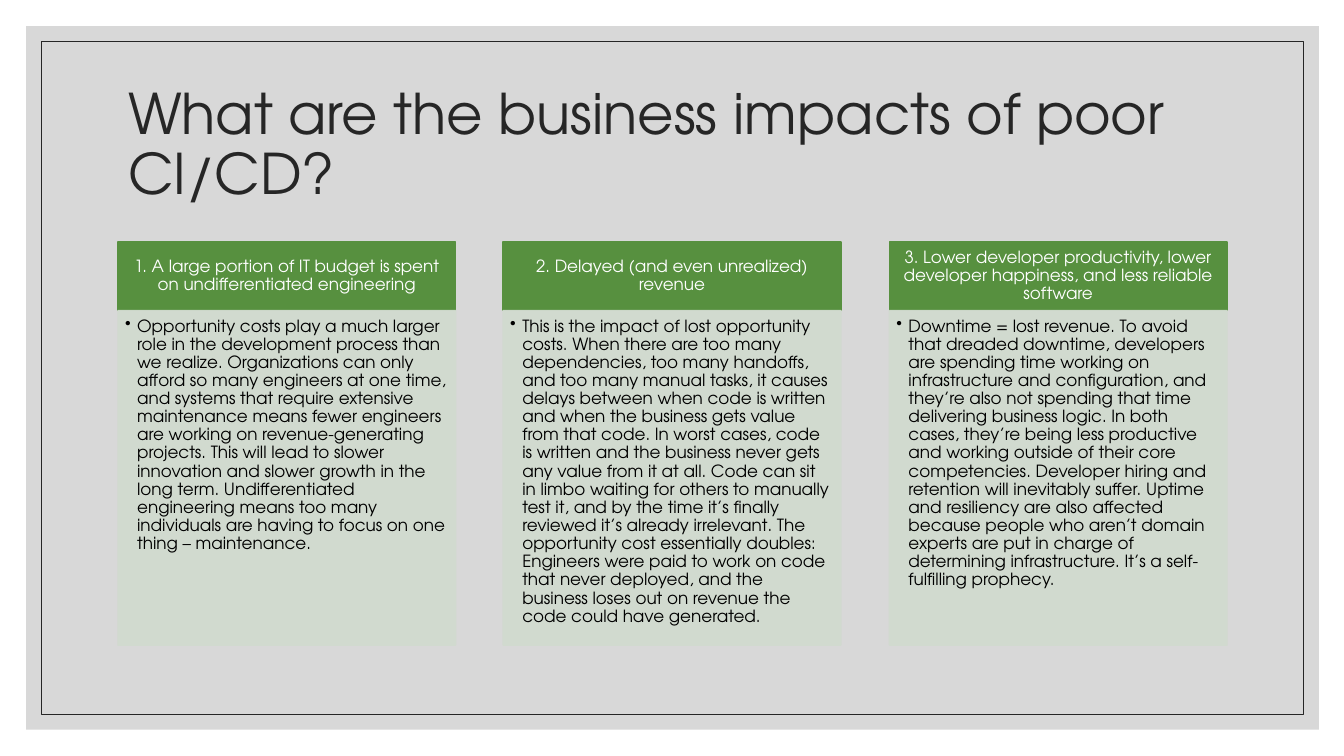
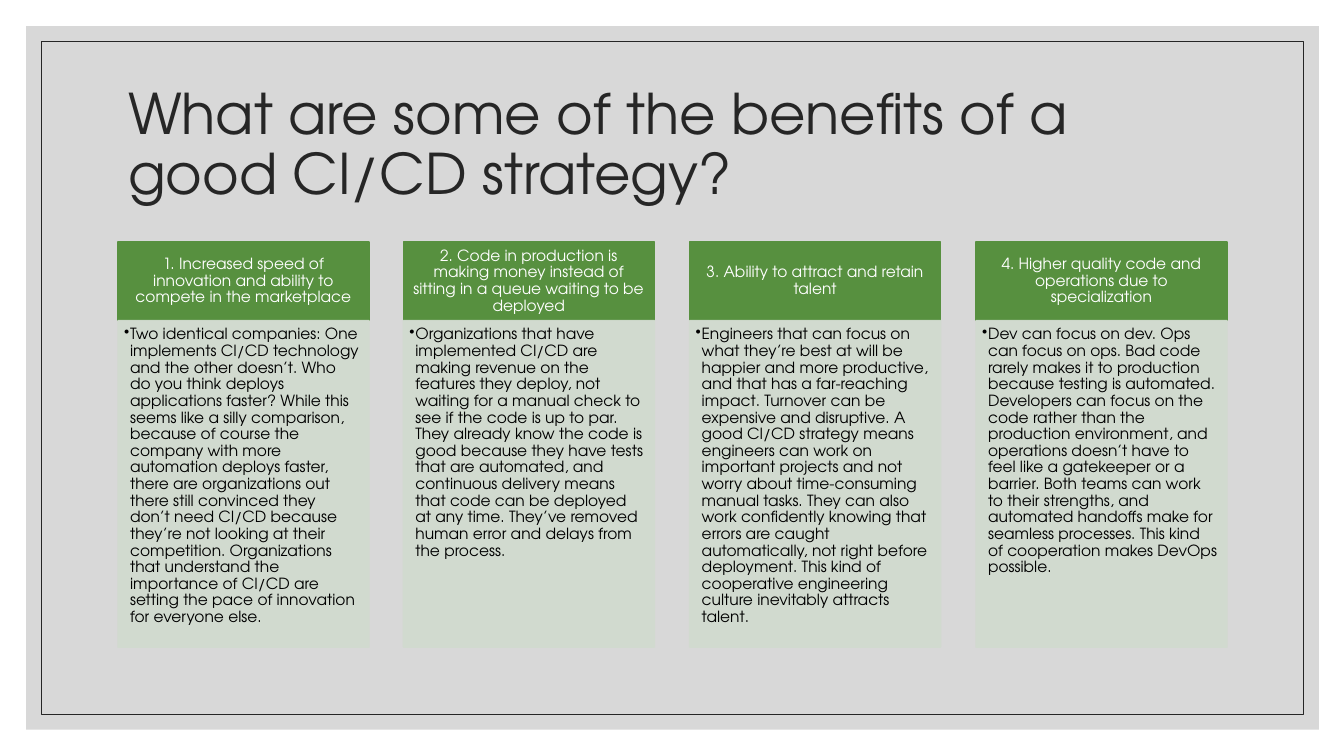
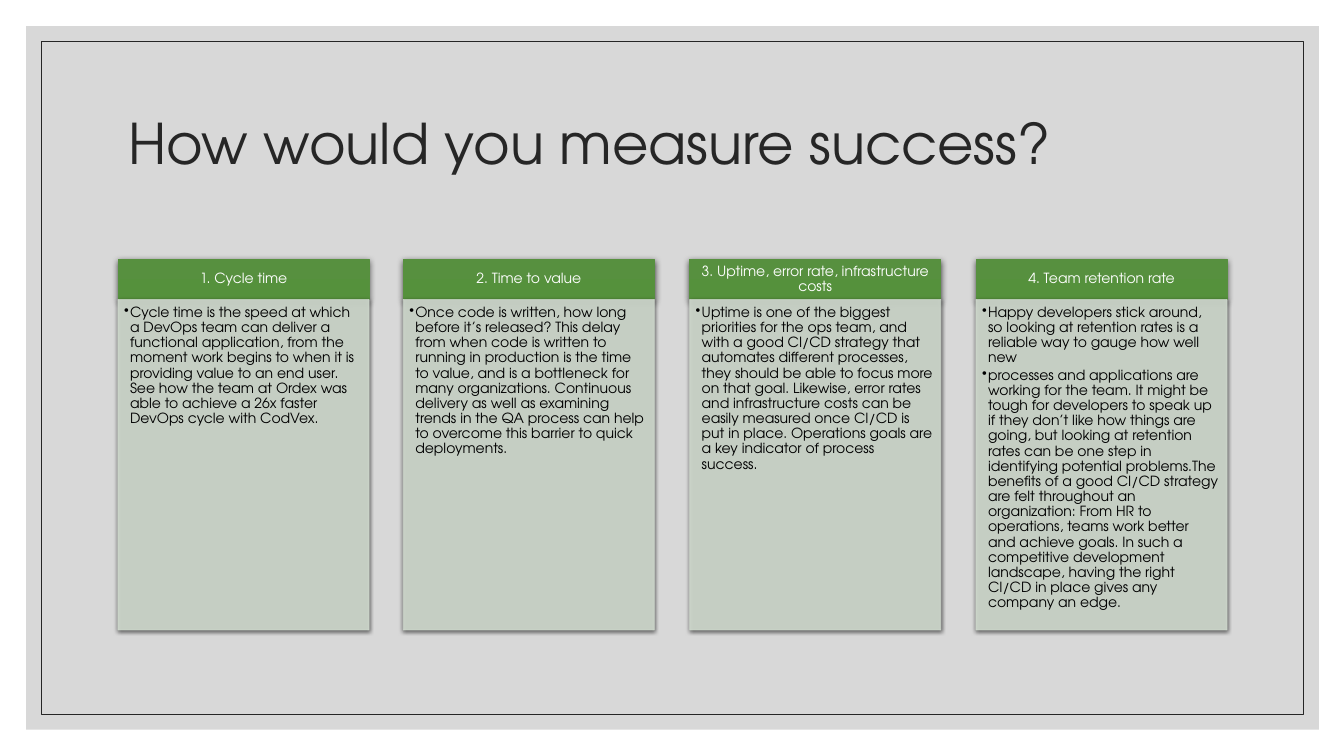
from dataclasses import dataclass

from lxml.etree import SubElement
from pptx import Presentation
from pptx.dml.color import RGBColor
from pptx.enum.shapes import MSO_SHAPE
from pptx.enum.text import MSO_ANCHOR, MSO_AUTO_SIZE, PP_ALIGN
from pptx.oxml.ns import qn
from pptx.util import Emu, Pt

SCALE = 9144


@dataclass(frozen=True)
class Theme:
    """Colours, font and type sizes of the deck."""
    font: str = "TeX Gyre Adventor"
    ink: str = "262626"
    black: str = "000000"
    white: str = "FFFFFF"
    band: str = "BFBFBF"
    green: str = "57903F"
    shade: str = "55913C"
    pale: str = "D1DBCF"
    title: int = 40
    large: int = 12
    medium: int = 11
    small: int = 10


def px(*sizes):
    """Turn whole px into EMU."""
    return [Emu(size * SCALE) for size in sizes]


def assign(target, values):
    """Set each named attribute on the target."""
    for name, value in values.items():
        setattr(target, name, value)


class Deck:
    """Hold the style and the current slide."""

    def __init__(self, theme):
        """Start an empty wide deck."""
        self.theme = theme
        self.show = Presentation()
        self.show.slide_width, self.show.slide_height = px(1333, 750)
        self.layout = self.show.slide_layouts[5]
        self.slide = None

    def page(self, title):
        """Add a slide with its title."""
        first = self.slide is None
        self.slide = self.show.slides.add_slide(self.layout)
        if first:
            self.frame()
        shape = self.slide.shapes.title
        assign(shape, dict(zip(("left", "top", "width", "height"), px(117, 70, 1100, 150))))
        self.prose(shape, [title], self.theme.title, self.theme.ink,
                   (10, 5, 10, 5), MSO_ANCHOR.MIDDLE, PP_ALIGN.LEFT)

    def frame(self):
        """Put the band and the thin frame on the shared layout."""
        parts = [self.box((26, 26, 1282, 698), fill=self.theme.band, alpha=60),
                 self.box((41, 41, 1252, 668), line=self.theme.ink, weight=0.5)]
        for order, part in enumerate(parts):
            part.element.nvSpPr.cNvPr.set("id", str(20 + order))
            self.layout.shapes.element.insert(2 + order, part.element)

    def box(self, place, fill=None, line=None, weight=1, alpha=None, blend=None):
        """Add a flat rectangle."""
        shape = self.slide.shapes.add_shape(MSO_SHAPE.RECTANGLE, *px(*place))
        shape.shadow.inherit = False
        if blend:
            shape.fill.gradient()
            shape.fill.gradient_angle = 270
            for stop, tone in zip(shape.fill.gradient_stops, (fill, blend)):
                stop.color.rgb = RGBColor.from_string(tone)
        elif fill:
            shape.fill.solid()
            shape.fill.fore_color.rgb = RGBColor.from_string(fill)
        else:
            shape.fill.background()
        if line:
            shape.line.color.rgb = RGBColor.from_string(line)
            shape.line.width = Pt(weight)
        else:
            shape.line.fill.background()
        if alpha:
            for tone in list(shape.element.spPr.iter(qn("a:srgbClr"))):
                SubElement(tone, qn("a:alpha"), val=str(alpha * 1000))
        return shape

    def shadow(self, shape, blur, drop):
        """Cast a soft shadow straight down."""
        effects = shape.element.spPr.find(qn("a:effectLst"))
        cast = SubElement(effects, qn("a:outerShdw"), blurRad=str(int(Pt(blur))),
                          dist=str(int(Pt(drop))), dir="5400000", algn="ctr", rotWithShape="0")
        tone = SubElement(cast, qn("a:srgbClr"), val=self.theme.black)
        SubElement(tone, qn("a:alpha"), val="63000")

    def prose(self, shape, texts, size, tone, inset, anchor, align, after=0, indent=None):
        """Fill a shape with styled paragraphs."""
        frame = shape.text_frame
        sides = ("margin_left", "margin_top", "margin_right", "margin_bottom")
        assign(frame, dict(zip(sides, px(*inset)), word_wrap=True,
                           auto_size=MSO_AUTO_SIZE.NONE, vertical_anchor=anchor))
        for order, text in enumerate(texts):
            para = frame.add_paragraph() if order else frame.paragraphs[0]
            assign(para, {"alignment": align, "line_spacing": 0.9,
                          "space_before": Pt(0), "space_after": Pt(after)})
            run = para.add_run()
            run.text = text
            assign(run.font, {"name": self.theme.font, "size": Pt(size)})
            run.font.color.rgb = RGBColor.from_string(tone)
            if indent:
                props = para._p.get_or_add_pPr()
                left = int(px(indent)[0])
                props.set("marL", str(left))
                props.set("indent", str(-left))
                SubElement(props, qn("a:buChar"), char="•")

    def cards(self, items, top, width, head, body, size, inset, indent, pad, raised=False):
        """Lay out equal columns, each a heading over a bulleted body."""
        theme = self.theme
        weight = 0.5 if raised else 1
        for order, (label, *texts) in enumerate(items):
            left = 117 + order * (1100 - width) // (len(items) - 1)
            cap = self.box((left, top, width, head), theme.green, theme.green, weight,
                           blend=theme.shade if raised else None)
            self.prose(cap, [label], size, theme.white, (pad, pad // 2, pad, pad // 2),
                       MSO_ANCHOR.MIDDLE, PP_ALIGN.CENTER)
            panel = self.box((left, top + head, width, body), theme.pale, theme.pale,
                             weight, alpha=90)
            self.prose(panel, texts, size, theme.black, (inset, inset, pad, pad + 1),
                       MSO_ANCHOR.TOP, PP_ALIGN.LEFT, size * 0.15, indent)
            if raised:
                self.shadow(cap, 4.5, 1.5)
                self.shadow(panel, 3, 1)


IMPACTS = [
    ("1. A large portion of IT budget is spent on undifferentiated engineering",
     "Opportunity costs play a much larger role in the development process than we realize. "
     "Organizations can only afford so many engineers at one time, and systems that require "
     "extensive maintenance means fewer engineers are working on revenue-generating projects. "
     "This will lead to slower innovation and slower growth in the long term. Undifferentiated "
     "engineering means too many individuals are having to focus on one thing – maintenance."),
    ("2. Delayed (and even unrealized) revenue",
     "This is the impact of lost opportunity costs. When there are too many dependencies, too "
     "many handoffs, and too many manual tasks, it causes delays between when code is written "
     "and when the business gets value from that code. In worst cases, code is written and the "
     "business never gets any value from it at all. Code can sit in limbo waiting for others to "
     "manually test it, and by the time it’s finally reviewed it’s already irrelevant. The "
     "opportunity cost essentially doubles: Engineers were paid to work on code that never "
     "deployed, and the business loses out on revenue the code could have generated."),
    ("3. Lower developer productivity, lower developer happiness, and less reliable software",
     "Downtime = lost revenue. To avoid that dreaded downtime, developers are spending time "
     "working on infrastructure and configuration, and they’re also not spending that time "
     "delivering business logic. In both cases, they’re being less productive and working "
     "outside of their core competencies. Developer hiring and retention will inevitably "
     "suffer. Uptime and resiliency are also affected because people who aren’t domain experts "
     "are put in charge of determining infrastructure. It’s a self-fulfilling prophecy."),
]

GAINS = [
    ("1. Increased speed of innovation and ability to compete in the marketplace",
     "Two identical companies: One implements CI/CD technology and the other doesn’t. Who do "
     "you think deploys applications faster? While this seems like a silly comparison, because "
     "of course the company with more automation deploys faster, there are organizations out "
     "there still convinced they don’t need CI/CD because they’re not looking at their "
     "competition. Organizations that understand the importance of CI/CD are setting the pace "
     "of innovation for everyone else."),
    ("2. Code in production is making money instead of sitting in a queue waiting to be deployed",
     "Organizations that have implemented CI/CD are making revenue on the features they deploy, "
     "not waiting for a manual check to see if the code is up to par. They already know the "
     "code is good because they have tests that are automated, and continuous delivery means "
     "that code can be deployed at any time. They’ve removed human error and delays from the "
     "process."),
    ("3. Ability to attract and retain talent",
     "Engineers that can focus on what they’re best at will be happier and more productive, and "
     "that has a far-reaching impact. Turnover can be expensive and disruptive. A good CI/CD "
     "strategy means engineers can work on important projects and not worry about "
     "time-consuming manual tasks. They can also work confidently knowing that errors are "
     "caught automatically, not right before deployment. This kind of cooperative engineering "
     "culture inevitably attracts talent."),
    ("4. Higher quality code and operations due to specialization",
     "Dev can focus on dev. Ops can focus on ops. Bad code rarely makes it to production "
     "because testing is automated. Developers can focus on the code rather than the production "
     "environment, and operations doesn’t have to feel like a gatekeeper or a barrier. Both "
     "teams can work to their strengths, and automated handoffs make for seamless processes. "
     "This kind of cooperation makes DevOps possible."),
]

METRICS = [
    ("1. Cycle time",
     "Cycle time is the speed at which a DevOps team can deliver a functional application, from "
     "the moment work begins to when it is providing value to an end user. See how the team at "
     "Ordex was able to achieve a 26x faster DevOps cycle with CodVex."),
    ("2. Time to value",
     "Once code is written, how long before it’s released? This delay from when code is written "
     "to running in production is the time to value, and is a bottleneck for many "
     "organizations. Continuous delivery as well as examining trends in the QA process can help "
     "to overcome this barrier to quick deployments."),
    ("3. Uptime, error rate, infrastructure costs",
     "Uptime is one of the biggest priorities for the ops team, and with a good CI/CD strategy "
     "that automates different processes, they should be able to focus more on that goal. "
     "Likewise, error rates and infrastructure costs can be easily measured once CI/CD is put "
     "in place. Operations goals are a key indicator of process success."),
    ("4. Team retention rate",
     "Happy developers stick around, so looking at retention rates is a reliable way to gauge "
     "how well new",
     "processes and applications are working for the team. It might be tough for developers to "
     "speak up if they don’t like how things are going, but looking at retention rates can be "
     "one step in identifying potential problems.The benefits of a good CI/CD strategy are felt "
     "throughout an organization: From HR to operations, teams work better and achieve goals. "
     "In such a competitive development landscape, having the right CI/CD in place gives any "
     "company an edge."),
]


def main():
    """Build and save the deck."""
    theme = Theme()
    deck = Deck(theme)
    deck.page("What are the business impacts of poor CI/CD?")
    deck.cards(IMPACTS, top=240, width=335, head=68, body=332, size=theme.large,
               inset=7, indent=12, pad=9)
    deck.page("What are some of the benefits of a good CI/CD strategy?")
    deck.cards(GAINS, top=240, width=249, head=78, body=324, size=theme.medium,
               inset=6, indent=6, pad=9)
    deck.page("How would you measure success?")
    deck.cards(METRICS, top=257, width=249, head=40, body=328, size=theme.small,
               inset=6, indent=6, pad=8, raised=True)
    deck.show.save("out.pptx")


if __name__ == "__main__":
    main()
